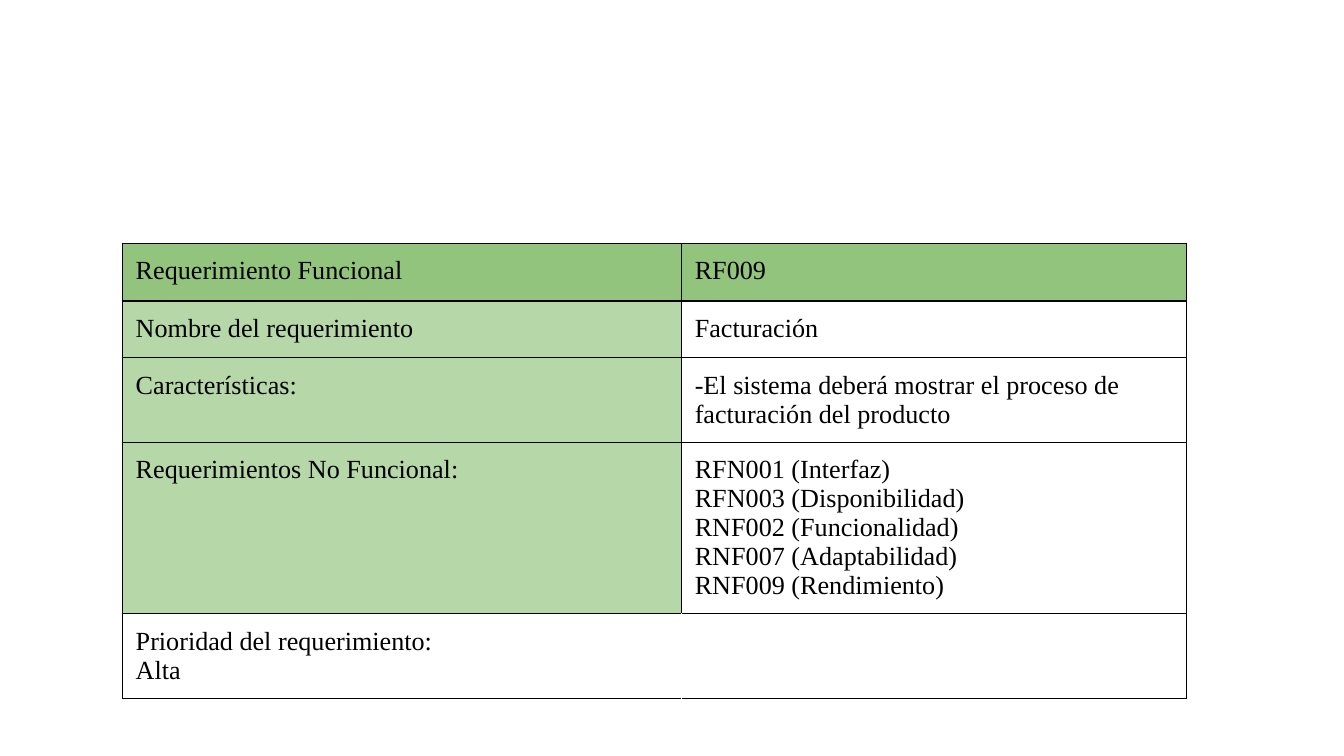
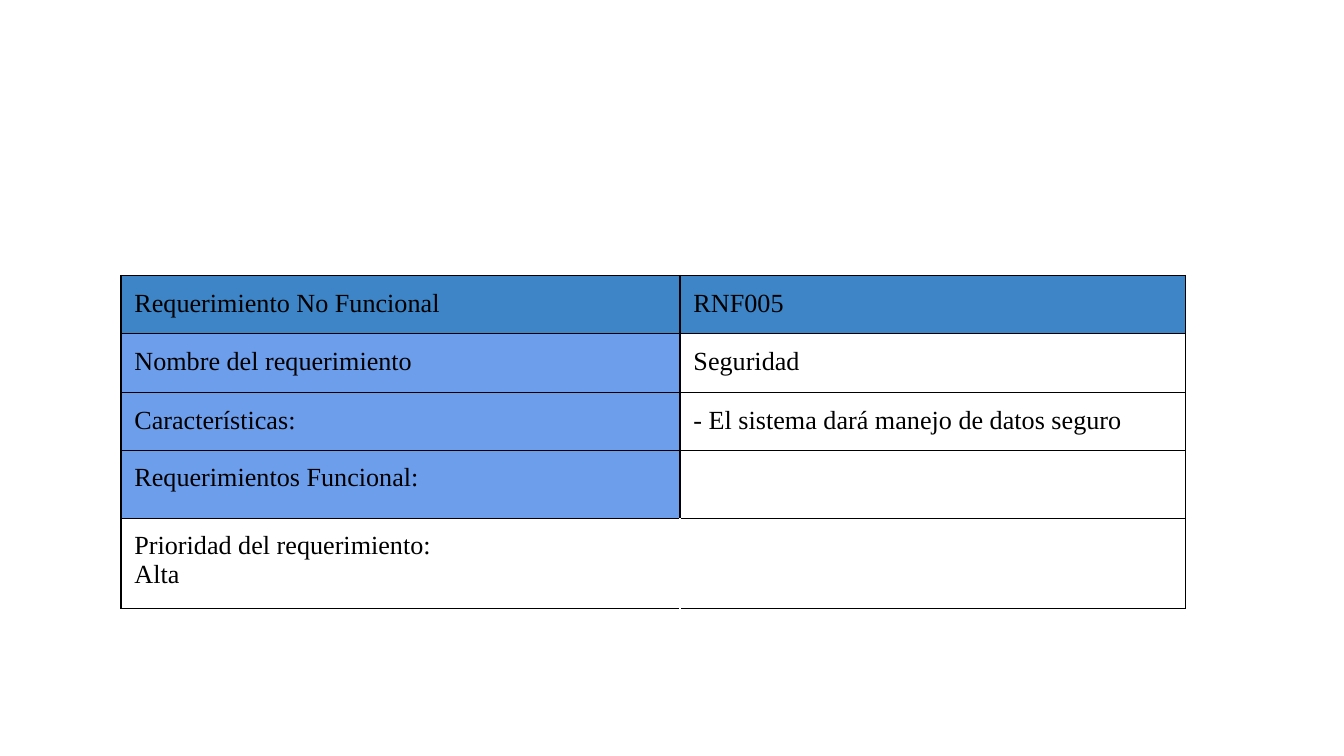
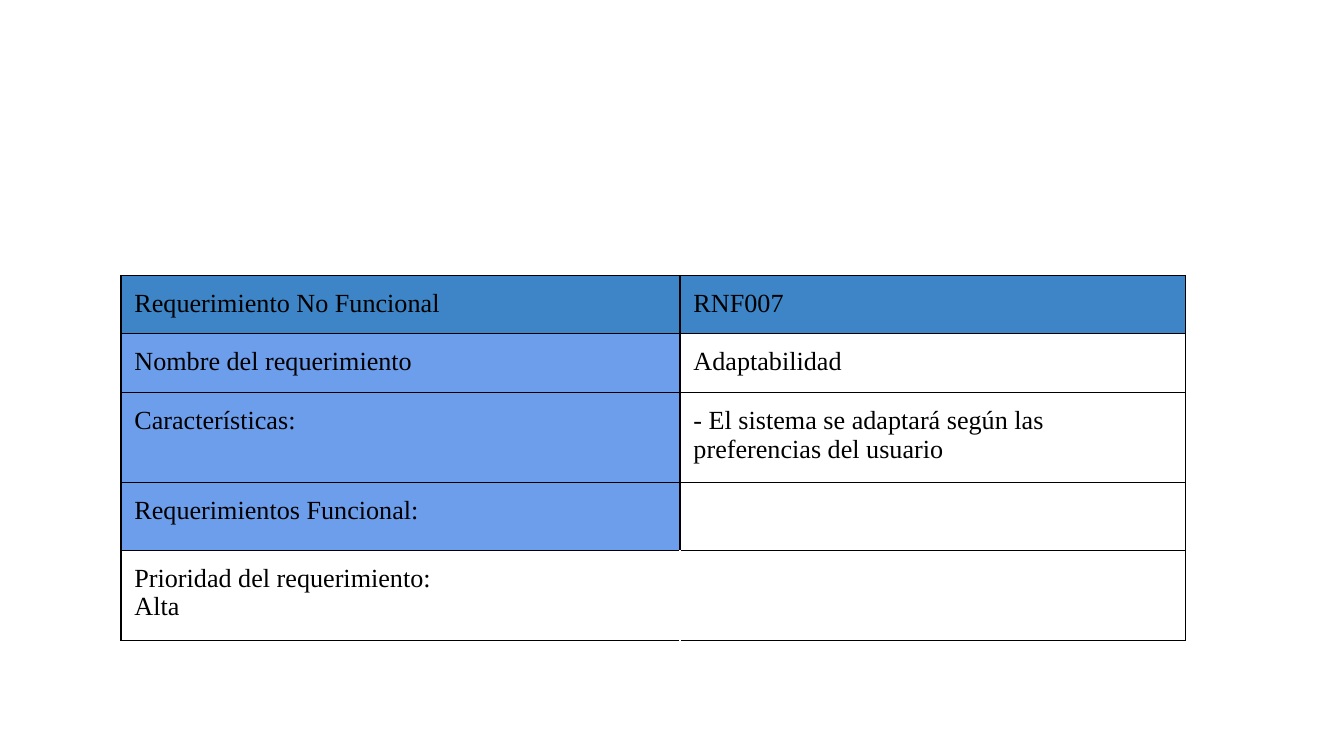
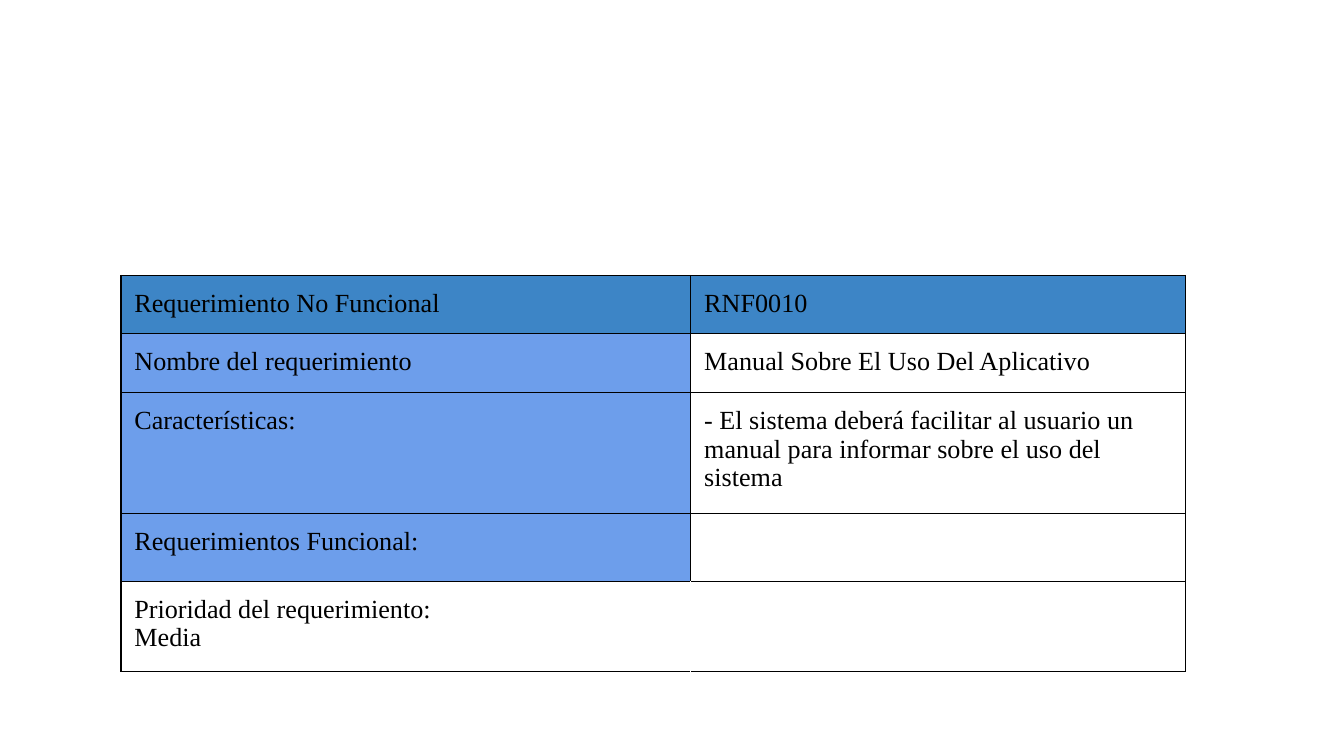
"""Build four slides, each with one software requirement table."""
from lxml import etree
from pptx import Presentation
from pptx.dml.color import RGBColor
from pptx.oxml.ns import qn
from pptx.util import Inches, Pt

BLACK = RGBColor(0x00, 0x00, 0x00)
WHITE = RGBColor(0xFF, 0xFF, 0xFF)
GREEN = RGBColor(0x93, 0xC4, 0x7D)
LIGHT_GREEN = RGBColor(0xB6, 0xD7, 0xA8)
BLUE = RGBColor(0x3D, 0x85, 0xC6)
LIGHT_BLUE = RGBColor(0x6D, 0x9E, 0xEB)

SLIDE_WIDTH = 10
SLIDE_HEIGHT = SLIDE_WIDTH * 9 / 16
TABLE_WIDTH = 7.92
BORDER = Pt(0.75)
TEXT_FORMAT = {"name": "Times New Roman", "size": Pt(14)}
MARGINS = dict.fromkeys(
    ("margin_left", "margin_right", "margin_top", "margin_bottom"), Inches(0.1))

FUNCTIONAL = {
    "type": "Requerimiento Funcional", "related": "Requerimientos No Funcional:",
    "header": GREEN, "label": LIGHT_GREEN, "corner": (0.91, 1.81),
}
NON_FUNCTIONAL = {
    "type": "Requerimiento No Funcional", "related": "Requerimientos Funcional:",
    "header": BLUE, "label": LIGHT_BLUE, "corner": (0.9, 2.05),
}

REQUIREMENTS = [
    {"kind": FUNCTIONAL, "code": "RF009", "name": "Facturación",
     "feature": "-El sistema deberá mostrar el proceso de facturación del producto",
     "related": "RFN001 (Interfaz)\nRFN003 (Disponibilidad)\nRNF002 (Funcionalidad)\n"
                "RNF007 (Adaptabilidad)\nRNF009 (Rendimiento)",
     "priority": "Alta", "label_width": 4.16,
     "heights": (0.43, 0.42, 0.63, 1.27, 0.63)},
    {"kind": NON_FUNCTIONAL, "code": "RNF005", "name": "Seguridad",
     "feature": "- El sistema dará manejo de datos seguro",
     "related": "", "priority": "Alta", "label_width": 4.16,
     "heights": (0.43, 0.44, 0.43, 0.5, 0.67)},
    {"kind": NON_FUNCTIONAL, "code": "RNF007", "name": "Adaptabilidad",
     "feature": "- El sistema se adaptará según las preferencias del usuario",
     "related": "", "priority": "Alta", "label_width": 4.16,
     "heights": (0.43, 0.44, 0.67, 0.5, 0.67)},
    {"kind": NON_FUNCTIONAL, "code": "RNF0010",
     "name": "Manual Sobre El Uso Del Aplicativo",
     "feature": "- El sistema deberá facilitar al usuario un manual para informar "
                "sobre el uso del sistema",
     "related": "", "priority": "Media", "label_width": 4.24,
     "heights": (0.43, 0.44, 0.9, 0.5, 0.67)},
]


def table_rows(requirement):
    kind = requirement["kind"]
    header, label = kind["header"], kind["label"]
    return [
        (kind["type"], requirement["code"], header, header),
        ("Nombre del requerimiento", requirement["name"], label, WHITE),
        ("Características:", requirement["feature"], label, WHITE),
        (kind["related"], requirement["related"], label, WHITE),
        (f"Prioridad del requerimiento:\n{requirement['priority']}", "", WHITE, WHITE),
    ]


def apply_format(target, values):
    for name, value in values.items():
        setattr(target, name, value)


def add_borders(cell, white_side):
    properties = cell._tc.get_or_add_tcPr()
    for side in ("lnL", "lnR", "lnT", "lnB"):
        line = etree.SubElement(properties, qn(f"a:{side}"), w=str(BORDER))
        fill = etree.SubElement(line, qn("a:solidFill"))
        color = WHITE if side == white_side else BLACK
        etree.SubElement(fill, qn("a:srgbClr"), val=str(color))


def fill_cell(cell, text, color, white_side):
    add_borders(cell, white_side)
    apply_format(cell, MARGINS)
    cell.fill.solid()
    cell.fill.fore_color.rgb = color
    if text:
        cell.text = text
    for para in cell.text_frame.paragraphs:
        for span in para.runs:
            apply_format(span.font, TEXT_FORMAT)
            span.font.color.rgb = BLACK


def add_requirement(page, requirement):
    rows = table_rows(requirement)
    heights = requirement["heights"]
    left, top = requirement["kind"]["corner"]
    box = (left, top, TABLE_WIDTH, sum(heights))
    table = page.shapes.add_table(len(rows), 2, *map(Inches, box)).table
    apply_format(table, {"first_row": False, "horz_banding": False})
    label_width = requirement["label_width"]
    for column, width in zip(table.columns, (label_width, TABLE_WIDTH - label_width)):
        column.width = Inches(width)
    for index, (row, height) in enumerate(zip(rows, heights)):
        table.rows[index].height = Inches(height)
        white_sides = ("lnR", "lnL") if index == len(rows) - 1 else (None, None)
        for column, white_side in enumerate(white_sides):
            fill_cell(table.cell(index, column), row[column], row[column + 2], white_side)


def main():
    deck = Presentation()
    deck.slide_width, deck.slide_height = Inches(SLIDE_WIDTH), Inches(SLIDE_HEIGHT)
    blank = deck.slide_layouts[6]
    for requirement in REQUIREMENTS:
        add_requirement(deck.slides.add_slide(blank), requirement)
    deck.save("out.pptx")


if __name__ == "__main__":
    main()
